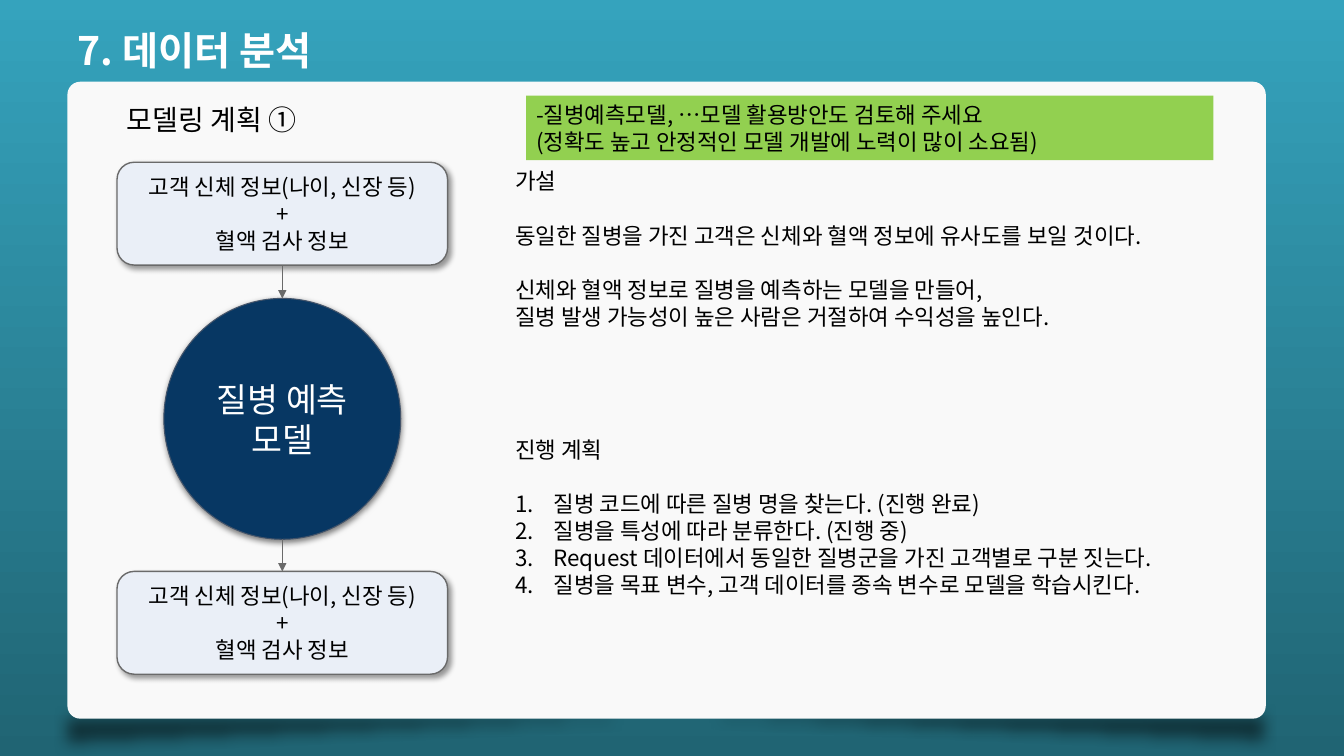
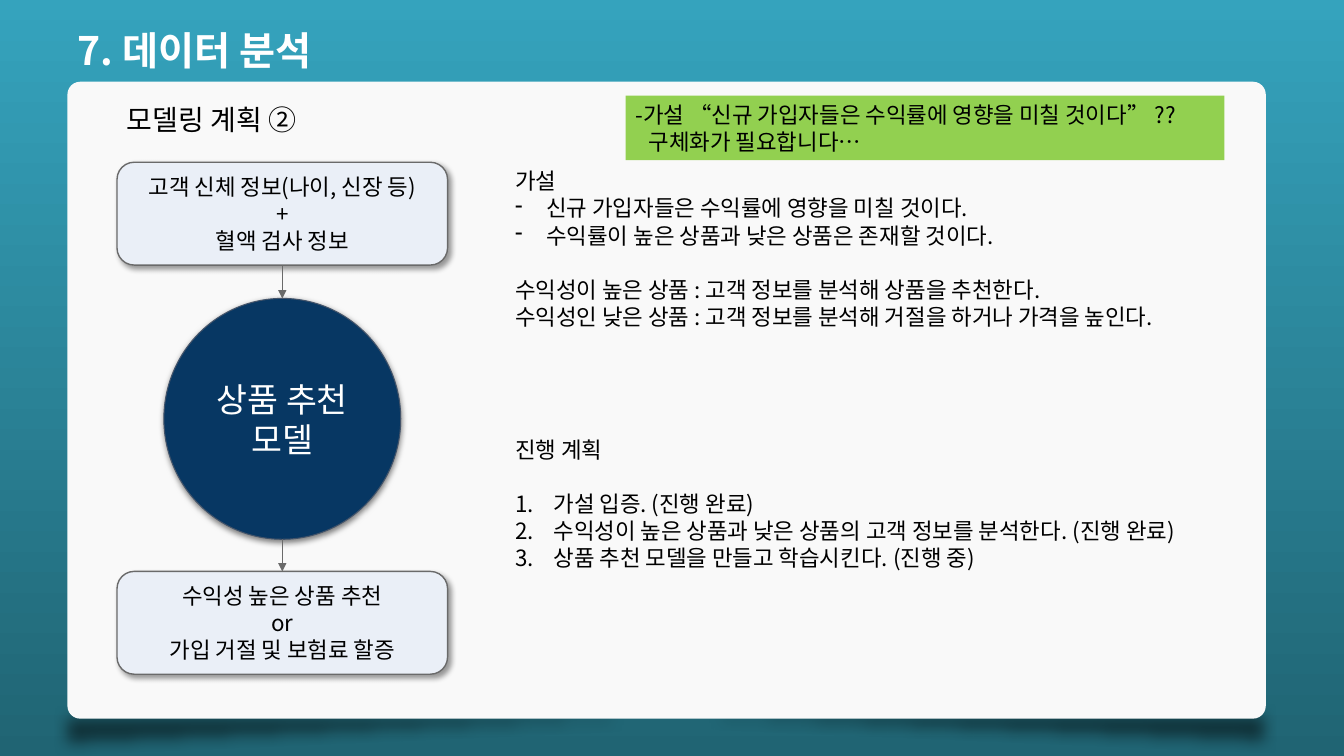
import lxml.etree
import pptx
import pptx.dml.color
import pptx.enum.shapes
import pptx.enum.text
import pptx.oxml.ns
import pptx.util

# Content: a line is a string or (text, options)
TITLE = "7. 데이터 분석"
INPUT = ["고객 신체 정보(나이, 신장 등)", "+", "혈액 검사 정보"]
GAP = {"gap": 1}
DASH = {"mark": "-"}
NUM = {"mark": "1."}
FIRST = {"mark": "1.", "gap": 1}

SLIDES = [
    {
        "head": "모델링 계획 ①",
        "model": ["질병 예측", "모델"],
        "result": INPUT,
        "hypo": [
            "가설",
            ("동일한 질병을 가진 고객은 신체와 혈액 정보에 유사도를 보일 것이다.", GAP),
            ("신체와 혈액 정보로 질병을 예측하는 모델을 만들어,", GAP),
            "질병 발생 가능성이 높은 사람은 거절하여 수익성을 높인다.",
        ],
        "plan": [
            "진행 계획",
            ("질병 코드에 따른 질병 명을 찾는다. (진행 완료)", FIRST),
            ("질병을 특성에 따라 분류한다. (진행 중)", NUM),
            ("Request 데이터에서 동일한 질병군을 가진 고객별로 구분 짓는다.", NUM),
            ("질병을 목표 변수, 고객 데이터를 종속 변수로 모델을 학습시킨다.", NUM),
        ],
        "note": [
            "-질병예측모델, …모델 활용방안도 검토해 주세요",
            "(정확도 높고 안정적인 모델 개발에 노력이 많이 소요됨)",
        ],
        "span": (13.26, 17.32),
    },
    {
        "head": "모델링 계획 ②",
        "model": ["상품 추천", "모델"],
        "result": ["수익성 높은 상품 추천", "or", "가입 거절 및 보험료 할증"],
        "hypo": [
            "가설",
            ("신규 가입자들은 수익률에 영향을 미칠 것이다.", DASH),
            ("수익률이 높은 상품과 낮은 상품은 존재할 것이다.", DASH),
            ("수익성이 높은 상품 : 고객 정보를 분석해 상품을 추천한다.", GAP),
            "수익성인 낮은 상품 : 고객 정보를 분석해 거절을 하거나 가격을 높인다.",
        ],
        "plan": [
            "진행 계획",
            ("가설 입증. (진행 완료)", FIRST),
            ("수익성이 높은 상품과 낮은 상품의 고객 정보를 분석한다. (진행 완료)", NUM),
            ("상품 추천 모델을 만들고 학습시킨다. (진행 중)", NUM),
        ],
        "note": [
            "-가설 “신규 가입자들은 수익률에 영향을 미칠 것이다” ??",
            ("구체화가 필요합니다…", {"pad": 0.33}),
        ],
        "span": (15.77, 15.09),
    },
]

# Shared style
FONT = "Noto Sans CJK KR"
PITCH = 1.21
COLORS = {
    "top": "35A3BD", "base": "206473", "card": "F9F9F9", "black": "000000",
    "white": "FFFFFF", "navy": "073763", "rim": "44546A", "pale": "EAEFF7",
    "gray": "6A6A6A", "green": "92D050",
}
INDENT = {"-": 0.79, "1.": 0.97}

# Flow column, in cm
LEFT, WIDE, HIGH = 2.95, 8.33, 2.59
MID = LEFT + WIDE / 2
INTOP, BALL, OUTTOP = 4.09, (5.97, 6.07), 14.4
BALLTOP = 7.52
TEXTX, TEXTW = 12.73, 18.9

Cm = pptx.util.Cm
Pt = pptx.util.Pt
KIND = pptx.enum.shapes.MSO_SHAPE
ALIGN = pptx.enum.text.PP_ALIGN
ANCHOR = pptx.enum.text.MSO_ANCHOR


def rgb(name):
    return pptx.dml.color.RGBColor.from_string(COLORS[name])


def sub(parent, tag, **attrs):
    attrs = {key: str(val) for key, val in attrs.items()}
    return lxml.etree.SubElement(parent, pptx.oxml.ns.qn("a:" + tag), attrs)


def text(shape, lines, size=16, color="black", bold=False,
         align=ALIGN.LEFT, anchor=ANCHOR.TOP):
    frame = shape.text_frame
    frame.word_wrap = True
    frame.auto_size = pptx.enum.text.MSO_AUTO_SIZE.NONE
    frame.vertical_anchor = anchor
    for num, line in enumerate(lines):
        words, opts = (line, {}) if isinstance(line, str) else line
        para = frame.add_paragraph() if num else frame.paragraphs[0]
        para.alignment = align
        para.line_spacing = Pt(size * PITCH)
        para.space_before = Pt(size * PITCH * opts.get("gap", 0))
        mark = opts.get("mark")
        props = para._p.get_or_add_pPr()
        if mark:
            inset = Cm(INDENT[mark])
            props.set("marL", str(inset))
            props.set("indent", str(-inset))
            if mark == "-":
                sub(props, "buChar", char=mark)
            else:
                sub(props, "buAutoNum", type="arabicPeriod")
        elif "pad" in opts:
            props.set("marL", str(Cm(opts["pad"])))
        run = para.add_run()
        run.text = words
        font = run.font
        font.size, font.bold, font.name = Pt(size), bold, FONT
        font.color.rgb = rgb(color)
        sub(run._r.get_or_add_rPr(), "ea", typeface=FONT)


def place(shape, box):
    shape.left, shape.top, shape.width, shape.height = map(Cm, box)


def label(slide, lines, box, **fmt):
    text(slide.shapes.add_textbox(*map(Cm, box)), lines, **fmt)


def block(slide, kind, box, fill, line=None, width=1):
    shape = slide.shapes.add_shape(kind, *map(Cm, box))
    shape.shadow.inherit = False
    shape.fill.solid()
    shape.fill.fore_color.rgb = rgb(fill)
    if line:
        shape.line.color.rgb = rgb(line)
        shape.line.width = Pt(width)
    else:
        shape.line.fill.background()
    return shape


def effects(shape):
    return shape.element.spPr.find(pptx.oxml.ns.qn("a:effectLst"))


def alpha(color, share):
    sub(color, "alpha", val=share * 1000)


def shade(shape, share, blur, dist, turn):
    drop = sub(effects(shape), "outerShdw", blurRad=Pt(blur), dist=Pt(dist),
               dir=turn * 60000, algn="ctr", rotWithShape=0)
    alpha(sub(drop, "srgbClr", val=COLORS["black"]), share)


def arrow(slide, top, end):
    kind = pptx.enum.shapes.MSO_CONNECTOR.STRAIGHT
    link = slide.shapes.add_connector(kind, Cm(MID), Cm(top), Cm(MID), Cm(end))
    link.line.color.rgb = rgb("gray")
    link.line.width = Pt(1)
    sub(link.line._get_or_add_ln(), "tailEnd", type="triangle")
    sub(link.element.spPr, "effectLst")


def frame(deck):
    slide = deck.slides.add_slide(deck.slide_layouts[5])
    place(slide.shapes.title, (1.7, 0.53, 19.1, 1.45))
    text(slide.shapes.title, [TITLE], size=28, color="white", bold=True)
    # Soft wedges under the card
    for left, top, flips in ((1.65, 17.73, ("flipH", "flipV")),
                             (1.37, 17.78, ("flipV",))):
        wedge = block(slide, KIND.RIGHT_TRIANGLE, (left, top, 30.53, 1.27), "black")
        for flip in flips:
            wedge.element.spPr.xfrm.set(flip, "1")
        tint = wedge.element.spPr.find(".//" + pptx.oxml.ns.qn("a:srgbClr"))
        alpha(tint, 51)
        sub(effects(wedge), "softEdge", rad=Pt(10))
    card = block(slide, KIND.ROUNDED_RECTANGLE, (1.7, 2.06, 30.2, 16.05), "card")
    card.adjustments[0] = 0.02
    return slide


def flow(slide, item):
    wide, high = BALL
    ball = block(slide, KIND.OVAL, (MID - wide / 2, BALLTOP, wide, high),
                 "navy", "rim", 0.75)
    shade(ball, 50, 4.5, 1.5, 90)
    text(ball, item["model"], size=24, color="white",
         align=ALIGN.CENTER, anchor=ANCHOR.MIDDLE)
    for top, lines in ((INTOP, INPUT), (OUTTOP, item["result"])):
        step = block(slide, KIND.ROUNDED_RECTANGLE, (LEFT, top, WIDE, HIGH),
                     "pale", "gray")
        shade(step, 40, 4, 3, 45)
        text(step, lines, align=ALIGN.CENTER, anchor=ANCHOR.MIDDLE)
    arrow(slide, INTOP + HIGH, BALLTOP)
    arrow(slide, BALLTOP + high, OUTTOP)


def main():
    deck = pptx.Presentation()
    deck.slide_width, deck.slide_height = Cm(33.87), Cm(19.05)
    # Backdrop
    fill = deck.slide_master.background.fill
    fill.gradient()
    fill.gradient_angle = 270
    for stop, name in zip(fill.gradient_stops, ("top", "base")):
        stop.color.rgb = rgb(name)
    for stop, spot in zip(fill.gradient_stops, (0, 1)):
        stop.position = spot
    for item in SLIDES:
        slide = frame(deck)
        flow(slide, item)
        label(slide, [item["head"]], (LEFT, 2.44, 10.29, 1.12), size=20)
        label(slide, item["hypo"], (TEXTX, INTOP, TEXTW, 4.37))
        label(slide, item["plan"], (TEXTX, 10.85, TEXTW, 4.37))
        left, wide = item["span"]
        note = block(slide, KIND.RECTANGLE, (left, 2.41, wide, 1.63), "green")
        text(note, item["note"])
    deck.save("out.pptx")


if __name__ == "__main__":
    main()
